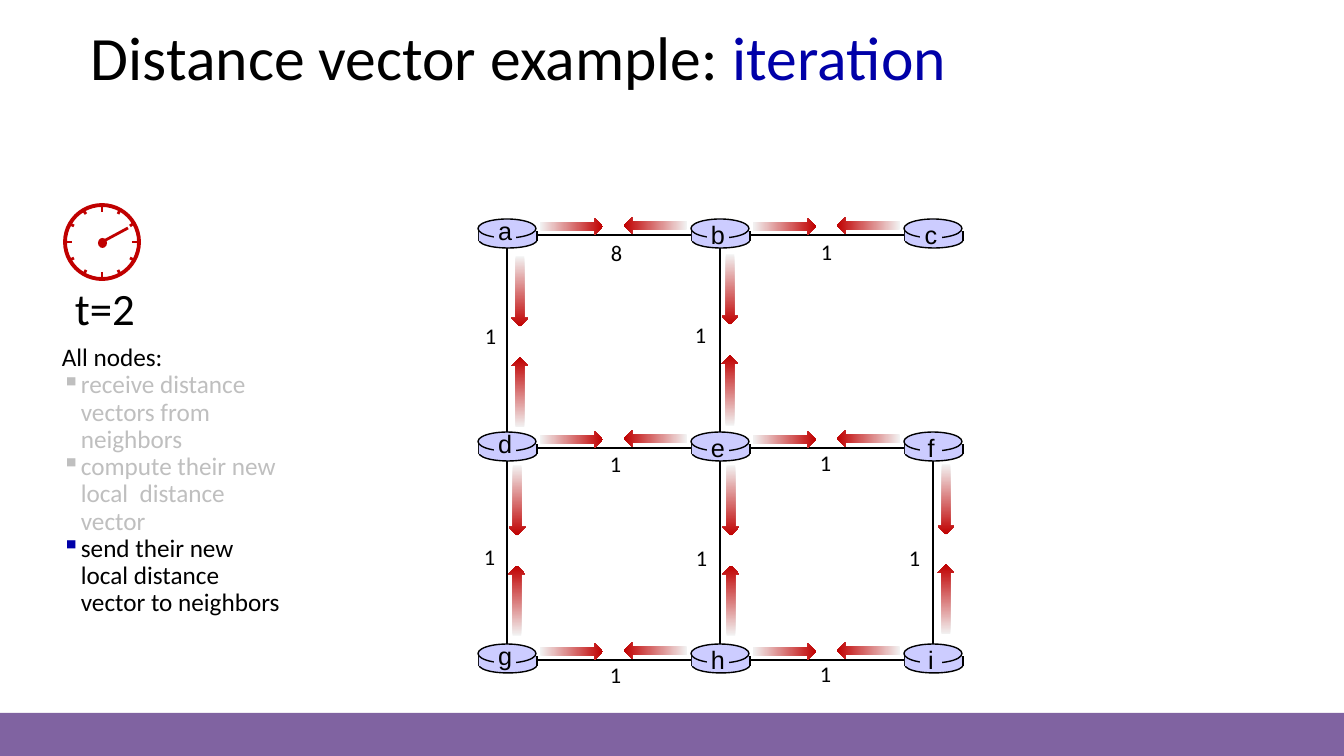
"""Build the slide on one iteration of the distance vector algorithm."""
from math import cos, radians, sin

from lxml.etree import SubElement
from pptx import Presentation
from pptx.dml.color import RGBColor
from pptx.enum.shapes import MSO_CONNECTOR, MSO_SHAPE
from pptx.enum.text import MSO_ANCHOR, MSO_AUTO_SIZE, PP_ALIGN
from pptx.oxml.ns import qn
from pptx.util import Pt

COLORS = {
    "black": "000000", "blue": "0000A8", "gray": "BFBFBF", "red": "C00000",
    "pale": "F2F2F2", "router": "CCCCFF", "band": "8063A1",
}
TITLE = [("Distance vector example: ", "black"), ("iteration", "blue")]
TIME = "t=2"
HEADING = "All nodes:"
STEPS = [
    ("receive distance vectors from neighbors", "gray", "gray"),
    ("compute their new local  distance vector", "gray", "gray"),
    ("send their new local distance vector to neighbors", "blue", "black"),
]
COLUMNS = [507, 720, 933]
ROWS = [235, 448, 660]
NODES = ["abc", "def", "ghi"]
# Each entry: ends, cost, cost label offset from the first node
ACROSS = [
    ("ab", "8", (94, -1)), ("bc", "1", (91, -2)), ("de", "1", (93, -3)),
    ("ef", "1", (90, -4)), ("gh", "1", (93, -4)), ("hi", "1", (90, -5)),
]
# Each entry: ends, cost, cost label offset, arrow shift, arrow centers
DOWN = [
    ("ad", "1", (-32, 82), 13, (56, 157)), ("be", "1", (-35, 81), 10, (54, 155)),
    ("dg", "1", (-33, 90), 10, (52, 152)), ("eh", "1", (-34, 91), 11, (52, 152)),
    ("fi", "1", (-34, 91), 13, (51, 151)),
]
CLOCK_CENTER = (102, 242)
CLOCK_RADIUS = 37
EMU_PER_PX = 12192000 / 1344

PLACES = {name: (COLUMNS[column], ROWS[row])
          for row, names in enumerate(NODES) for column, name in enumerate(names)}


def px(length):
    return round(length * EMU_PER_PX)


def color(name):
    return RGBColor.from_string(COLORS[name])


def format_run(run, size, color_name, font="Calibri"):
    run.font.size = Pt(size)
    run.font.name = font
    run.font.color.rgb = color(color_name)


def add_shape(shapes, kind, box, fill=None, line=None, width=1):
    shape = shapes.add_shape(kind, *map(px, box))
    shape.shadow.inherit = False
    if fill:
        shape.fill.solid()
        shape.fill.fore_color.rgb = color(fill)
    else:
        shape.fill.background()
    if line:
        shape.line.color.rgb = color(line)
        shape.line.width = Pt(width)
    else:
        shape.line.fill.background()
    return shape


def add_line(shapes, start, end, line="black", width=1):
    connector = shapes.add_connector(MSO_CONNECTOR.STRAIGHT, *map(px, start + end))
    connector.line.color.rgb = color(line)
    connector.line.width = Pt(width)
    SubElement(connector._element.spPr, qn("a:effectLst"))


def add_label(shapes, text, box, size, font="Calibri", align=PP_ALIGN.LEFT):
    frame = shapes.add_textbox(*map(px, box)).text_frame
    frame.word_wrap = False
    frame.text = text
    frame.paragraphs[0].alignment = align
    format_run(frame.paragraphs[0].runs[0], size, "black", font)


def add_arrow(shapes, box, rotation):
    arrow = add_shape(shapes, MSO_SHAPE.RIGHT_ARROW, box)
    arrow.fill.gradient()
    arrow.fill.gradient_angle = 0
    for stop, name, position in zip(arrow.fill.gradient_stops, ("pale", "red"), (0, 1)):
        stop.color.rgb = color(name)
        stop.position = position
    arrow.rotation = rotation


def add_router(shapes, name):
    x, y = PLACES[name]
    group = shapes.add_group_shape().shapes
    add_shape(group, MSO_SHAPE.OVAL, (x - 28, y - 3, 58, 16), "router", "black")
    for side in (x - 28, x + 30):
        add_line(group, (side, y - 4), (side, y + 6))
    add_shape(group, MSO_SHAPE.RECTANGLE, (x - 28, y - 4, 57, 10), "router")
    add_shape(group, MSO_SHAPE.OVAL, (x - 29, y - 16, 58, 19), "router", "black")
    add_shape(group, MSO_SHAPE.RECTANGLE, (x - 13, y - 11, 22, 20), "router")
    top = y - 25 if x == COLUMNS[0] else y - 21
    add_label(group, name, (x - 19, top, 34, 40), 18, "Arial", PP_ALIGN.CENTER)


def add_network(shapes):
    for ends, *_ in ACROSS + DOWN:
        add_line(shapes, PLACES[ends[0]], PLACES[ends[1]])
    for ends, cost, offset, *_ in ACROSS + DOWN:
        x, y = PLACES[ends[0]]
        add_label(shapes, cost, (x + offset[0], y + offset[1], 33, 37), 16)
    for ends, *_ in ACROSS:
        x, y = PLACES[ends[0]]
        add_arrow(shapes, (x + 33, y - 17, 63, 17), 0)
        add_arrow(shapes, (x + 117, y - 18, 63, 17), 180)
    for ends, _, _, shift, centers in DOWN:
        x, y = PLACES[ends[0]]
        for center, rotation in zip(centers, (90, 270)):
            add_arrow(shapes, (x + shift - 35, y + center - 8, 70, 17), rotation)
    for name in PLACES:
        add_router(shapes, name)


def on_clock(angle, radius):
    x, y = CLOCK_CENTER
    return (round(x + radius * cos(radians(angle))),
            round(y + radius * sin(radians(angle))))


def add_clock(shapes):
    x, y = CLOCK_CENTER
    group = shapes.add_group_shape().shapes
    add_label(group, TIME, (65, 276, 82, 65), 32)
    side = 2 * CLOCK_RADIUS
    add_shape(group, MSO_SHAPE.OVAL, (x - CLOCK_RADIUS, y - CLOCK_RADIUS, side, side),
              line="red", width=2.75)
    for angle in range(0, 360, 30):
        inner = CLOCK_RADIUS - (5 if angle % 90 else 7)
        add_line(group, on_clock(angle, inner), on_clock(angle, CLOCK_RADIUS), "red", 2)
    add_shape(group, MSO_SHAPE.OVAL, (x - 4, y - 4, 9, 10), "red")
    add_line(group, (x, y), (x + 26, y - 14), "red", 2)


def add_steps(shapes):
    frame = shapes.add_textbox(*map(px, (52, 340, 242, 285))).text_frame
    frame.word_wrap = True
    frame.text = "\n".join([HEADING] + [text for text, _, _ in STEPS])
    for paragraph in frame.paragraphs:
        paragraph.line_spacing = 0.9
    format_run(frame.paragraphs[0].runs[0], 18, "black")
    for paragraph, (_, bullet, ink) in zip(frame.paragraphs[1:], STEPS):
        properties = paragraph._p.get_or_add_pPr()
        properties.set("marL", str(px(19)))
        properties.set("indent", str(px(-19)))
        bullet_color = SubElement(properties, qn("a:buClr"))
        SubElement(bullet_color, qn("a:srgbClr"), val=COLORS[bullet])
        SubElement(properties, qn("a:buChar"), char="▪")
        format_run(paragraph.runs[0], 18, ink)


def add_title(title):
    title.left, title.top, title.width, title.height = map(px, (91, 19, 1159, 99))
    frame = title.text_frame
    frame.auto_size = MSO_AUTO_SIZE.NONE
    frame.vertical_anchor = MSO_ANCHOR.TOP
    frame.margin_left = frame.margin_top = frame.margin_right = frame.margin_bottom = 0
    paragraph = frame.paragraphs[0]
    paragraph.alignment = PP_ALIGN.LEFT
    for text, ink in TITLE:
        run = paragraph.add_run()
        run.text = text
        format_run(run, 44, ink)


def main():
    presentation = Presentation()
    presentation.slide_width, presentation.slide_height = px(1344), px(756)
    slide = presentation.slides.add_slide(presentation.slide_layouts[5])
    add_title(slide.shapes.title)
    add_shape(slide.shapes, MSO_SHAPE.RECTANGLE, (0, 713, 1344, 43), "band")
    add_network(slide.shapes)
    add_steps(slide.shapes)
    add_clock(slide.shapes)
    presentation.save("out.pptx")


if __name__ == "__main__":
    main()
